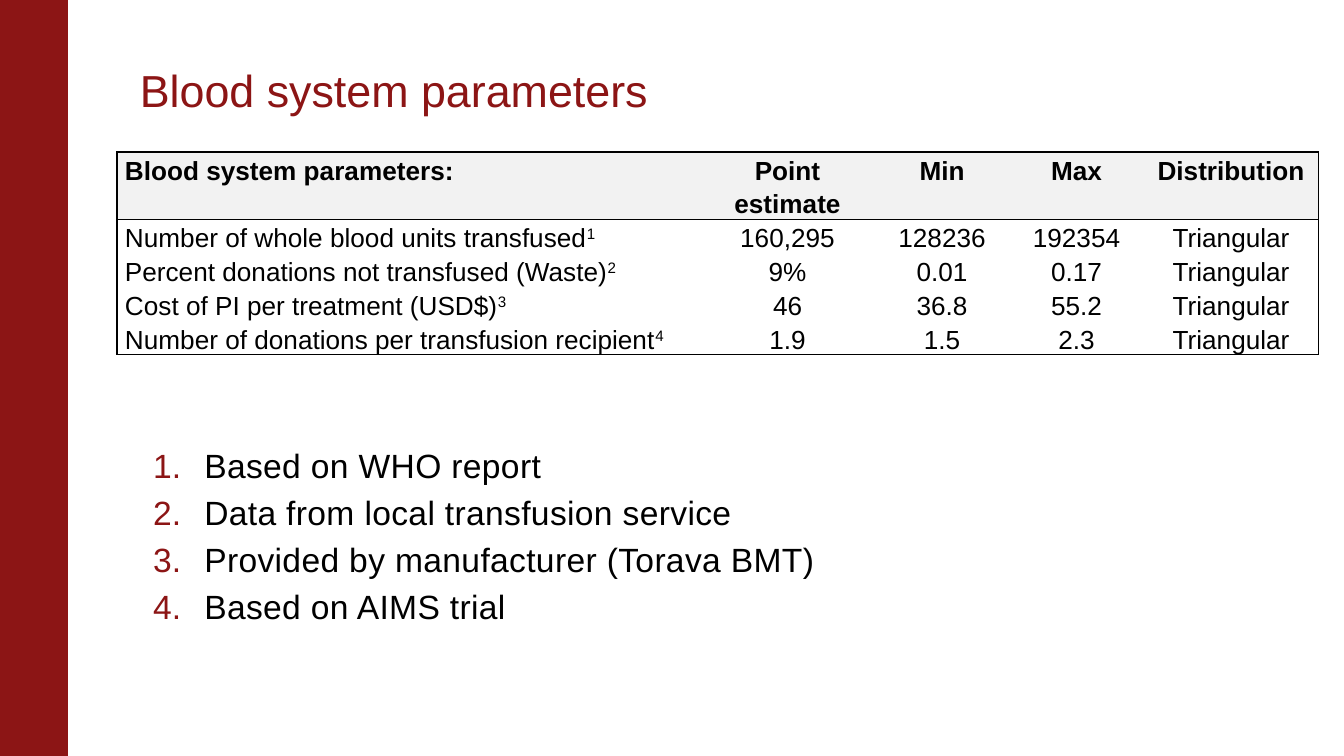
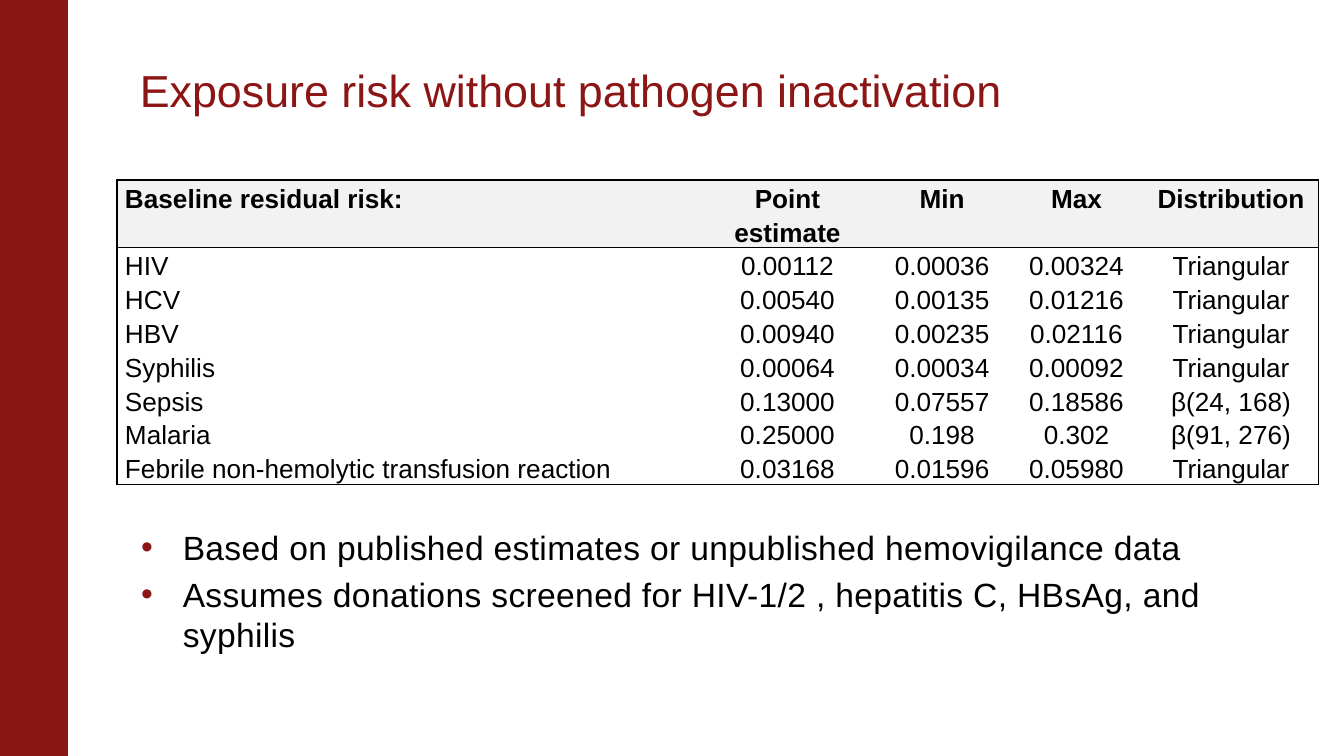
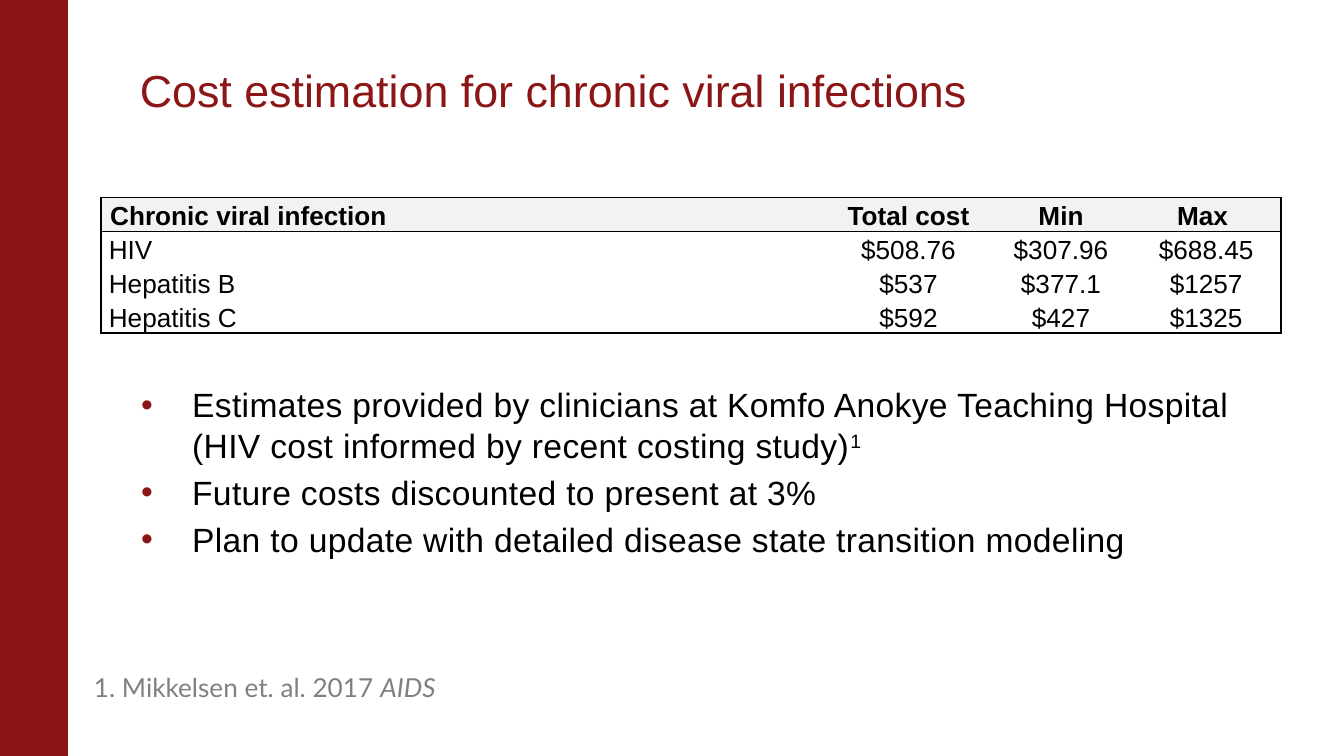
from lxml.etree import SubElement
from pptx import Presentation
from pptx.dml.color import RGBColor
from pptx.enum.shapes import MSO_SHAPE
from pptx.enum.text import MSO_ANCHOR, MSO_AUTO_SIZE, PP_ALIGN
from pptx.oxml.ns import qn
from pptx.util import Inches, Pt

CARDINAL = RGBColor(0x8C, 0x15, 0x15)
BLACK = RGBColor(0, 0, 0)
GRAY = RGBColor(0x80, 0x80, 0x80)
HEADER_FILL = RGBColor(0xF2, 0xF2, 0xF2)
FONT, FOOTNOTE_FONT = "Arial", "Lato"

SLIDE_WIDTH, SLIDE_HEIGHT = 10, 5.625
BAND_WIDTH = SLIDE_WIDTH / 20
TITLE_BOX = (1.04, 0.39, 8.43, 0.53)
FOOTNOTE_BOX = (0.6, 4.95, 5.75, 0.34)
BODY_WIDTH, BODY_BOTTOM = 8.42, 5.1
ROW_HEIGHT = 0.25
NO_STYLE_TABLE = "{2D5ABB26-0587-4C30-8999-92F81FD0307C}"

ESTIMATE_COLUMNS = (4.34, 1.3, 1, 1, 1.3)
COST_COLUMNS = (5.4, 1.22, 1.05, 1.11)
ESTIMATE_HEADINGS = ("Point estimate", "Min", "Max", "Distribution")

# Text after ^ is superscript. The inset and anchor pairs are
# for the heading cells and the value cells.
SLIDES = [
    {
        "title": "Blood system parameters",
        "table": {
            "at": (0.87, 1.13), "columns": ESTIMATE_COLUMNS, "heading_lines": 2,
            "rows": [
                ("Blood system parameters:", *ESTIMATE_HEADINGS),
                ("Number of whole blood units transfused^1",
                 "160,295", "128236", "192354", "Triangular"),
                ("Percent donations not transfused (Waste)^2",
                 "9%", "0.01", "0.17", "Triangular"),
                ("Cost of PI per treatment (USD$)^3",
                 "46", "36.8", "55.2", "Triangular"),
                ("Number of donations per transfusion recipient^4",
                 "1.9", "1.5", "2.3", "Triangular"),
            ],
        },
        "list": {
            "at": (1.14, 3.26), "indent": 0.38, "numbered": True, "tab": 0.44,
            "items": [
                "Based on WHO report",
                "Data from local transfusion service",
                "Provided by manufacturer (Torava BMT)",
                "Based on AIMS trial",
            ],
        },
    },
    {
        "title": "Exposure risk without pathogen inactivation",
        "table": {
            "at": (0.87, 1.34), "columns": ESTIMATE_COLUMNS, "heading_lines": 2,
            "rows": [
                ("Baseline residual risk:", *ESTIMATE_HEADINGS),
                ("HIV", "0.00112", "0.00036", "0.00324", "Triangular"),
                ("HCV", "0.00540", "0.00135", "0.01216", "Triangular"),
                ("HBV", "0.00940", "0.00235", "0.02116", "Triangular"),
                ("Syphilis", "0.00064", "0.00034", "0.00092", "Triangular"),
                ("Sepsis", "0.13000", "0.07557", "0.18586", "β(24, 168)"),
                ("Malaria", "0.25000", "0.198", "0.302", "β(91, 276)"),
                ("Febrile non-hemolytic transfusion reaction",
                 "0.03168", "0.01596", "0.05980", "Triangular"),
            ],
        },
        "list": {
            "at": (1.05, 3.87), "indent": 0.31, "tab": 0.44,
            "items": [
                "Based on published estimates or unpublished hemovigilance data",
                "Assumes donations screened for HIV-1/2 , hepatitis C, HBsAg, and syphilis",
            ],
        },
    },
    {
        "title": "Cost estimation for chronic viral infections",
        "table": {
            "at": (0.75, 1.47), "columns": COST_COLUMNS, "heading_lines": 1,
            "compact_values": True,
            "rows": [
                ("Chronic viral infection", "Total cost", "Min", "Max "),
                ("HIV", "$508.76", "$307.96", "$688.45"),
                ("Hepatitis B", "$537", "$377.1", "$1257"),
                ("Hepatitis C", "$592", "$427", "$1325"),
            ],
        },
        "list": {
            "at": (1.05, 2.81), "indent": 0.38,
            "items": [
                "Estimates provided by clinicians at Komfo Anokye Teaching Hospital "
                "(HIV cost informed by recent costing study)^1",
                "Future costs discounted to present at 3%",
                "Plan to update with detailed disease state transition modeling",
            ],
        },
        "footnote": [("1. Mikkelsen et. al. 2017 ", False), ("AIDS", True)],
    },
]


def place(shape, left, top, width, height):
    shape.left, shape.top = Inches(left), Inches(top)
    shape.width, shape.height = Inches(width), Inches(height)


def set_margins(target, sides, ends=0, right=None):
    target.margin_left = Inches(sides)
    target.margin_right = Inches(sides if right is None else right)
    target.margin_top = target.margin_bottom = Inches(ends)


def add_run(paragraph, text, size, color=BLACK, font=FONT, bold=False, italic=False):
    run = paragraph.add_run()
    run.text = text
    run.font.name, run.font.size = font, Pt(size)
    run.font.bold, run.font.italic = bold, italic
    run.font.color.rgb = color
    return run


def add_marked_text(paragraph, text, size, bold=False, spacing=0):
    """Add the text, raising what follows ^ as a superscript."""
    base, _, superscript = text.partition("^")
    runs = [add_run(paragraph, base, size, bold=bold)]
    if superscript:
        runs.append(add_run(paragraph, superscript, size, bold=bold))
        runs[-1].font._element.set("baseline", "30000")
    if spacing:
        for run in runs:
            run.font._element.set("spc", str(spacing))


def add_band(presentation, slide):
    """Draw the side band and move it to the master, behind everything."""
    band = slide.shapes.add_shape(MSO_SHAPE.RECTANGLE, 0, 0,
                                  Inches(BAND_WIDTH), presentation.slide_height)
    band.shadow.inherit = False
    band.fill.solid()
    band.fill.fore_color.rgb = CARDINAL
    band.line.color.rgb = CARDINAL
    band.line.width = Pt(0.75)
    presentation.slide_master.shapes.element.insert(2, band.element)


def write_title(title, text):
    place(title, *TITLE_BOX)
    frame = title.text_frame
    frame.auto_size = MSO_AUTO_SIZE.NONE
    frame.vertical_anchor = MSO_ANCHOR.BOTTOM
    set_margins(frame, 0, 0.05, right=0.1)
    paragraph = frame.paragraphs[0]
    paragraph.alignment = PP_ALIGN.LEFT
    paragraph.line_spacing = 0.85
    add_run(paragraph, text, 24, CARDINAL)


def format_list_item(paragraph, indent, numbered, tab):
    properties = paragraph._p.get_or_add_pPr()
    properties.set("marL", str(Inches(indent)))
    properties.set("indent", str(-Inches(indent)))
    before = SubElement(properties, qn("a:spcBef"))
    SubElement(before, qn("a:spcPct"), val="20000")
    bullet_color = SubElement(properties, qn("a:buClr"))
    SubElement(bullet_color, qn("a:srgbClr"), val=str(CARDINAL))
    SubElement(properties, qn("a:buFont"), typeface=FONT)
    if numbered:
        SubElement(properties, qn("a:buAutoNum"), type="arabicPeriod")
    else:
        SubElement(properties, qn("a:buChar"), char="•")
    if tab:
        tabs = SubElement(properties, qn("a:tabLst"))
        SubElement(tabs, qn("a:tab"), pos=str(Inches(tab)), algn="l")


def write_list(body, content):
    left, top = content["at"]
    place(body, left, top, BODY_WIDTH, BODY_BOTTOM - top)
    frame = body.text_frame
    frame.auto_size = MSO_AUTO_SIZE.NONE
    frame.vertical_anchor = MSO_ANCHOR.TOP
    set_margins(frame, 0, 0.05)
    for index, item in enumerate(content["items"]):
        paragraph = frame.add_paragraph() if index else frame.paragraphs[0]
        format_list_item(paragraph, content["indent"],
                         content.get("numbered"), content.get("tab"))
        add_marked_text(paragraph, item, 18, spacing=20)


def set_borders(cell, sides):
    """Draw black 1 pt lines on the given sides and none on the others."""
    properties = cell._tc.get_or_add_tcPr()
    for side in "LRTB":
        line = SubElement(properties, qn(f"a:ln{side}"), w=str(Pt(1)))
        if side in sides:
            fill = SubElement(line, qn("a:solidFill"))
            SubElement(fill, qn("a:srgbClr"), val=str(BLACK))
        else:
            SubElement(line, qn("a:noFill"))


def format_cell(cell, text, is_heading, is_label, compact):
    """Write one cell; compact tables have tight values and centred headings."""
    paragraph = cell.text_frame.paragraphs[0]
    paragraph.alignment = PP_ALIGN.LEFT if is_label else PP_ALIGN.CENTER
    add_marked_text(paragraph, text, 14, bold=is_heading)
    tight = compact and not is_heading and not is_label
    if tight:
        set_margins(cell, 0)
        cell.vertical_anchor = MSO_ANCHOR.BOTTOM
    else:
        paragraph.line_spacing = 1.15
        centred = compact and is_heading
        set_margins(cell, 0.07 if centred else 0.06)
        cell.vertical_anchor = MSO_ANCHOR.MIDDLE if centred else MSO_ANCHOR.TOP
    if is_heading:
        cell.fill.solid()
        cell.fill.fore_color.rgb = HEADER_FILL
    else:
        cell.fill.background()


def add_parameter_table(slide, content):
    rows, columns = content["rows"], content["columns"]
    left, top = content["at"]
    heights = [ROW_HEIGHT * content["heading_lines"]] + [ROW_HEIGHT] * (len(rows) - 1)
    frame = slide.shapes.add_table(len(rows), len(columns), Inches(left), Inches(top),
                                   Inches(sum(columns)), Inches(sum(heights)))
    table = frame.table
    table.first_row = table.horz_banding = False
    frame.element.find(".//" + qn("a:tableStyleId")).text = NO_STYLE_TABLE
    for column, width in zip(table.columns, columns):
        column.width = Inches(width)
    for row, height in zip(table.rows, heights):
        row.height = Inches(height)

    last_row, last_column = len(rows) - 1, len(columns) - 1
    for r, row in enumerate(rows):
        for c, text in enumerate(row):
            cell = table.cell(r, c)
            edges = {"L": c == 0, "R": c == last_column,
                     "T": r <= 1, "B": r in (0, last_row)}
            set_borders(cell, [side for side, drawn in edges.items() if drawn])
            format_cell(cell, text, r == 0, c == 0, content.get("compact_values"))


def add_footnote(slide, parts):
    box = slide.shapes.add_textbox(*map(Inches, FOOTNOTE_BOX))
    box.text_frame.word_wrap = True
    box.text_frame.auto_size = MSO_AUTO_SIZE.SHAPE_TO_FIT_TEXT
    for text, italic in parts:
        add_run(box.text_frame.paragraphs[0], text, 14, GRAY, FOOTNOTE_FONT, italic=italic)


def main():
    presentation = Presentation()
    presentation.slide_width = Inches(SLIDE_WIDTH)
    presentation.slide_height = Inches(SLIDE_HEIGHT)
    layout = presentation.slide_layouts.get_by_name("Title and Content")
    for number, content in enumerate(SLIDES):
        slide = presentation.slides.add_slide(layout)
        if number == 0:
            add_band(presentation, slide)
        write_title(slide.shapes.title, content["title"])
        write_list(slide.placeholders[1], content["list"])
        add_parameter_table(slide, content["table"])
        if "footnote" in content:
            add_footnote(slide, content["footnote"])
    presentation.save("out.pptx")


if __name__ == "__main__":
    main()
